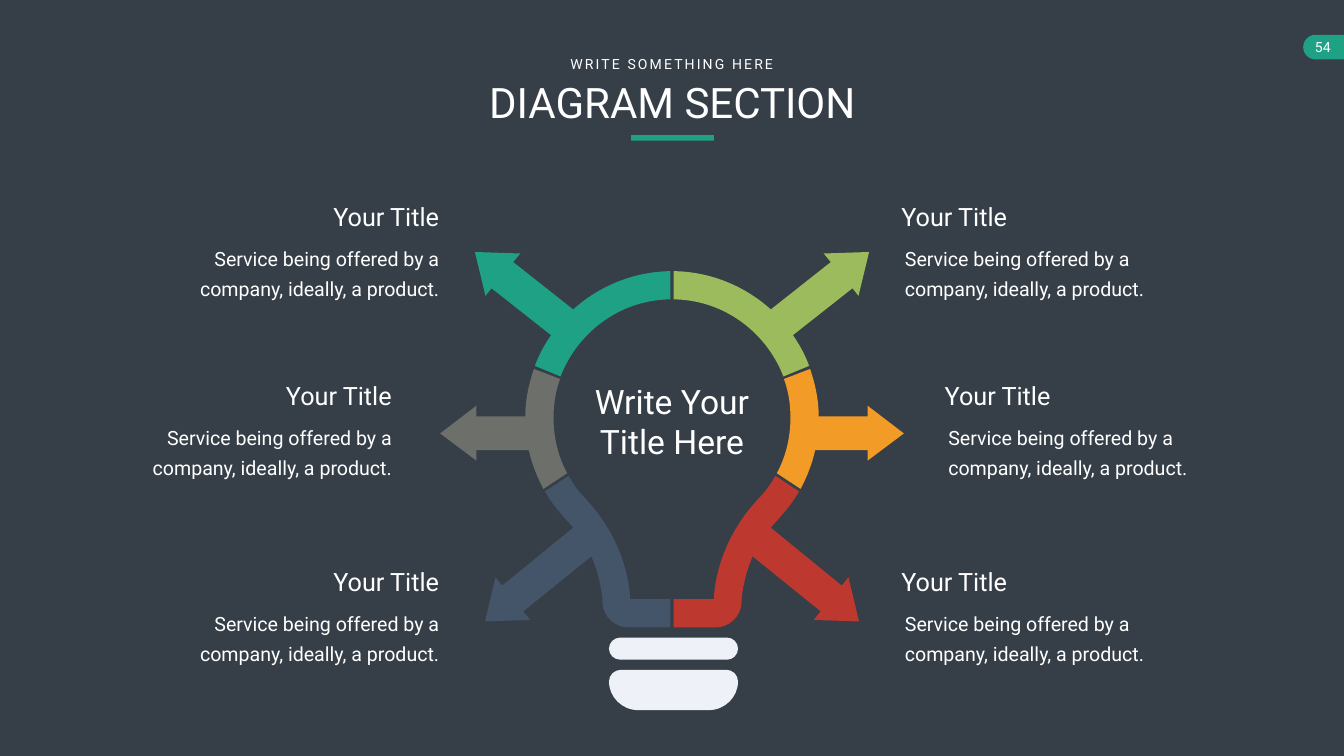
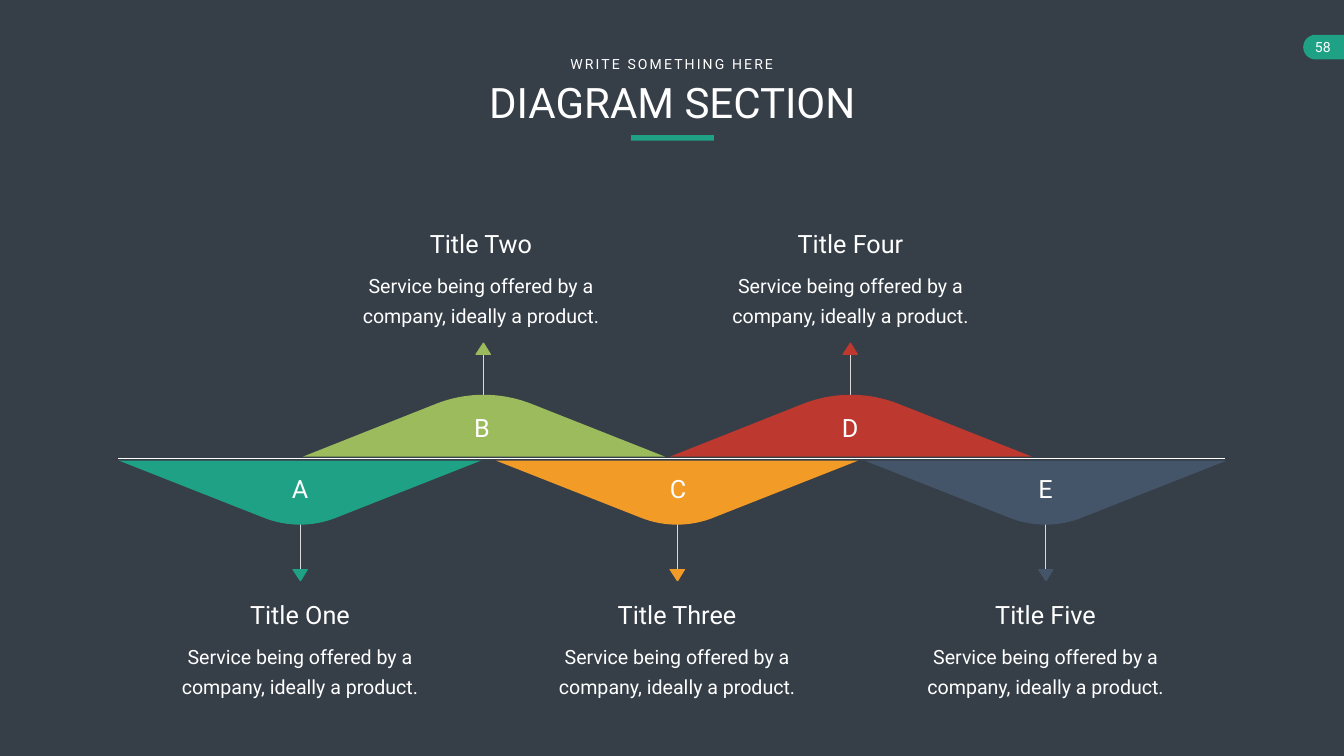
import lxml.etree
import pptx
import pptx.dml.color
import pptx.enum.shapes
import pptx.enum.text
import pptx.oxml
import pptx.oxml.ns
import pptx.util

RGB = pptx.dml.color.RGBColor
SHAPE = pptx.enum.shapes.MSO_SHAPE
ALIGN = pptx.enum.text.PP_ALIGN
FIT = pptx.enum.text.MSO_AUTO_SIZE

DARK = RGB(0x36, 0x3E, 0x48)
WHITE = RGB(0xFF, 0xFF, 0xFF)
PALE = RGB(0xEF, 0xF1, 0xF8)
SILVER = RGB(0xD9, 0xD9, 0xD9)
TEAL = RGB(0x1E, 0xA1, 0x85)
GREEN = RGB(0x9B, 0xBB, 0x5C)
ORANGE = RGB(0xF2, 0x9B, 0x26)
RED = RGB(0xBD, 0x39, 0x2F)
NAVY = RGB(0x44, 0x54, 0x69)
GREY = RGB(0x6D, 0x6F, 0x6B)

FONT = "Roboto"
WIDE, HIGH = 26.66, 15
AXIS = WIDE / 2
UNIT = 2.54

# Outlines: a pair is a corner, six numbers are a cubic curve.
UPPER = [
    (13.36, 5.94), (14.36, 5.95, 15.2, 6.59, 15.54, 7.47), (16.05, 7.26),
    (15.97, 7.04, 15.86, 6.84, 15.73, 6.65), (16.91, 5.72), (17.03, 5.87),
    (17.24, 5), (16.34, 5.03), (16.48, 5.2), (15.29, 6.14),
    (14.78, 5.68, 14.1, 5.39, 13.36, 5.38)]
MIDDLE = [
    (15.68, 8.29), (15.68, 8.68, 15.59, 9.05, 15.41, 9.39), (15.88, 9.7),
    (16.01, 9.46, 16.11, 9.2, 16.17, 8.93), (17.21, 8.93), (17.21, 9.14),
    (17.93, 8.6), (17.21, 8.05), (17.21, 8.26), (16.24, 8.26),
    (16.24, 7.93, 16.17, 7.62, 16.07, 7.32), (15.55, 7.52),
    (15.64, 7.76, 15.68, 8.02, 15.68, 8.29)]
LOWER = [
    (16.7, 11.62), (15.29, 10.47), (15.34, 10.41, 15.38, 10.36, 15.44, 10.3),
    (15.59, 10.13, 15.74, 9.95, 15.85, 9.75), (15.38, 9.44),
    (15.29, 9.61, 15.17, 9.77, 15.03, 9.91),
    (14.53, 10.45, 14.21, 11.14, 14.16, 11.86), (14.16, 11.89),
    (13.36, 11.89), (13.36, 12.45), (14.19, 12.45),
    (14.46, 12.45, 14.69, 12.24, 14.71, 11.97), (14.71, 11.89),
    (14.74, 11.6, 14.81, 11.31, 14.93, 11.04), (16.28, 12.13),
    (16.14, 12.3), (17.04, 12.33), (16.83, 11.45)]
BAR = [
    (14.42, 13.09), (12.31, 13.09), (12.18, 13.09, 12.08, 12.99, 12.08, 12.87),
    (12.08, 12.75, 12.18, 12.65, 12.31, 12.65), (14.42, 12.65),
    (14.54, 12.65, 14.64, 12.75, 14.64, 12.87),
    (14.64, 12.99, 14.54, 13.09, 14.42, 13.09)]
CAP = [
    (14.06, 14.09), (12.66, 14.09), (12.34, 14.09, 12.08, 13.83, 12.08, 13.52),
    (12.08, 13.39, 12.19, 13.29, 12.32, 13.29), (14.41, 13.29),
    (14.53, 13.29, 14.64, 13.39, 14.64, 13.52),
    (14.64, 13.83, 14.38, 14.09, 14.06, 14.09)]
# Offsets from the middle of the base, pointing down.
TIP = [
    (0.15, 0), (-0.14, 0), (-0.15, 0, -0.16, 0, -0.15, 0.01), (0, 0.24),
    (0, 0.25, 0.01, 0.25, 0.02, 0.24), (0.16, 0.01),
    (0.16, 0, 0.16, 0, 0.15, 0)]
FALL = [
    (0.75, 1.12), (3.59, 0), (0, 0), (-3.59, 0), (-0.75, 1.12),
    (-0.27, 1.32, 0.27, 1.32, 0.75, 1.12)]
RISE = [
    (-0.95, 1.04), (-3.57, 0), (0.02, 0), (3.61, 0), (0.98, 1.04),
    (0.36, 1.29, -0.33, 1.29, -0.95, 1.04)]


def size(num):
    """Turn grid units into a length."""
    return pptx.util.Cm(num * UNIT)


def shift(path, x, y, turn_x=1, turn_y=1):
    """Scale a path by the turns, then move it to x, y."""
    return [tuple(y + turn_y * n if i % 2 else x + turn_x * n
                  for i, n in enumerate(step)) for step in path]


def flip(path):
    """Mirror a path in the upright middle axis of the slide."""
    return shift(path, WIDE, 0, -1)


def bounds(path, parts=20):
    """Find the left, top, right and bottom that the drawn curve reaches."""
    spots = []
    for step in path:
        if len(step) == 2:
            spots.append(step)
            continue
        nodes = [spots[-1], step[:2], step[2:4], step[4:]]
        for part in range(1, parts + 1):
            t = part / parts
            rates = ((1 - t) ** 3, 3 * t * (1 - t) ** 2, 3 * t * t * (1 - t), t ** 3)
            spots.append(tuple(sum(r * n[i] for r, n in zip(rates, nodes))
                               for i in (0, 1)))
    across, along = zip(*spots)
    return [size(n) for n in (min(across), min(along), max(across), max(along))]


class Deck:
    def __init__(self):
        self.file = pptx.Presentation()
        self.file.slide_width = size(WIDE)
        self.file.slide_height = size(HIGH)
        self.slide = None

    def page(self, num):
        """Start a slide with its number tab and title band."""
        self.slide = self.file.slides.add_slide(self.file.slide_layouts[6])
        back = self.slide.background.fill
        back.solid()
        back.fore_color.rgb = DARK
        self.shape(SHAPE.FLOWCHART_DELAY, 25.85, 0.69, 0.49, 0.49, TEAL).rotation = 180
        self.shape(SHAPE.RECTANGLE, 26.34, 0.69, 0.32, 0.49, TEAL)
        self.text(num, 25.87, 0.67, 0.74, 0.54, 20, pad=(0.2, 0.1))
        self.shape(SHAPE.RECTANGLE, 12.52, 2.68, 1.64, 0.11, TEAL)
        self.text("DIAGRAM SECTION", 7.1, 1.47, 12.47, 1.11, 60, wrap=True)
        label = self.text("WRITE SOMETHING HERE", 11.15, 1.05, 4.35, 0.44, 20)
        label._r.get_or_add_rPr().set("spc", "300")

    def paint(self, shape, color):
        shape.shadow.inherit = False
        shape.fill.solid()
        shape.fill.fore_color.rgb = color
        shape.line.fill.background()
        return shape

    def shape(self, kind, x, y, w, h, color):
        item = self.slide.shapes.add_shape(kind, size(x), size(y), size(w), size(h))
        return self.paint(item, color)

    def trace(self, path, color):
        """Draw a closed, filled outline, with true curves."""
        first, *rest = [(size(step[-2]), size(step[-1])) for step in path]
        pen = self.slide.shapes.build_freeform(*first)
        pen.add_line_segments(rest)
        item = self.paint(pen.convert_to_shape(), color)
        left, top, right, foot = bounds(path)
        item.left, item.top = left, top
        item.width, item.height = right - left, foot - top
        name = pptx.oxml.ns.qn
        route = item._element.find(".//" + name("a:path"))
        route.set("w", str(right - left))
        route.set("h", str(foot - top))
        for node, step in zip(list(route), path):
            for spot in list(node):
                node.remove(spot)
            if len(step) == 6:
                node.tag = name("a:cubicBezTo")
            for x, y in zip(step[::2], step[1::2]):
                lxml.etree.SubElement(node, name("a:pt"), x=str(size(x) - left),
                                      y=str(size(y) - top))

    def line(self, x1, y1, x2, y2, color, weight):
        item = self.slide.shapes.add_connector(
            pptx.enum.shapes.MSO_CONNECTOR.STRAIGHT,
            size(x1), size(y1), size(x2), size(y2))
        item.line.color.rgb = color
        item.line.width = pptx.util.Pt(weight)
        item._element.spPr.append(pptx.oxml.parse_xml(
            "<a:effectLst %s/>" % pptx.oxml.ns.nsdecls("a")))

    def text(self, words, x, y, w, h, points, align=ALIGN.CENTER,
             wrap=False, pad=(0.1, 0.05), pitch=None):
        frame = self.slide.shapes.add_textbox(
            size(x), size(y), size(w), size(h)).text_frame
        frame.word_wrap = wrap
        frame.auto_size = FIT.SHAPE_TO_FIT_TEXT
        frame.margin_left = frame.margin_right = size(pad[0])
        frame.margin_top = frame.margin_bottom = size(pad[1])
        para = frame.paragraphs[0]
        para.alignment = align
        if pitch:
            para.line_spacing = pptx.util.Pt(pitch)
        run = para.add_run()
        run.text = words
        run.font.name = FONT
        run.font.size = pptx.util.Pt(points)
        run.font.color.rgb = WHITE
        return run

    def note(self, title, body, x, y, align, w, span=2.39):
        """Put a title, span wide, above body text; both align to x."""
        part, nudge = {ALIGN.LEFT: (0, 0.07), ALIGN.CENTER: (0.5, 0),
                       ALIGN.RIGHT: (1, -0.14)}[align]
        self.text(title, x + nudge - part * span, y, span, 0.71, 36, align)
        self.text(body, x - part * w, y + 0.7, w, 1.39, 28, align,
                  wrap=True, pad=(0.24, 0.12), pitch=43)


def bulb(deck):
    deck.page("54")
    for path, left, right in ((UPPER, TEAL, GREEN), (MIDDLE, GREY, ORANGE),
                              (LOWER, NAVY, RED)):
        deck.trace(flip(path), left)
        deck.trace(path, right)
    deck.trace(BAR, PALE)
    deck.trace(CAP, PALE)
    body = "Service being offered by a company, ideally, a product."
    for y, reach in ((3.95, 4.38), (7.5, 5.24), (11.19, 4.38)):
        for side, align in ((-1, ALIGN.RIGHT), (1, ALIGN.LEFT)):
            # The middle left note stands slightly further out.
            edge = 8.01 if side < 0 and reach > 5 else AXIS + side * reach
            deck.note("Your Title", body, edge, y, align, 5.39)
    deck.text("Write Your Title Here", 11.25, 7.5, 4.16, 1.72, 48, wrap=True)


def waves(deck):
    deck.page("58")
    down = (1, FALL, 9.14, 10.26, 11.31, 11.29, 11.85, 9.35)
    up = (-1, RISE, 9.06, 8.02, 6.97, 7.04, 4.48, 8.13)
    # Letter, title, title width, stem, note middle, letter middle, colour, side
    hills = (("A", "One", 2.22, 5.95, 5.95, 5.95, TEAL, down),
             ("B", "Two", 2.28, 9.58, 9.54, 9.56, GREEN, up),
             ("C", "Three", 2.61, 13.43, 13.43, 13.45, ORANGE, down),
             ("D", "Four", 2.37, 16.86, 16.87, 16.86, RED, up),
             ("E", "Five", 2.27, 20.74, 20.74, 20.74, NAVY, down))
    for *_, x, _, _, color, (turn, path, base, near, far, *_) in hills:
        deck.line(x, near, x, far, SILVER, 1)
        deck.trace(shift(path, x, base, turn_y=turn), color)
    deck.line(2.34, 9.1, 24.29, 9.1, WHITE, 1.39)
    body = "Service being offered by a company, ideally a product."
    for mark, name, span, x, mid, spot, color, (turn, *_, tip, top, row) in hills:
        deck.trace(shift(TIP, x, tip, turn_y=turn), color)
        deck.note("Title " + name, body, mid, top, ALIGN.CENTER, 5.6, span)
        deck.text(mark, spot - 0.26, row, 0.52, 0.71, 36)


def main():
    deck = Deck()
    bulb(deck)
    waves(deck)
    deck.file.save("out.pptx")


if __name__ == "__main__":
    main()
